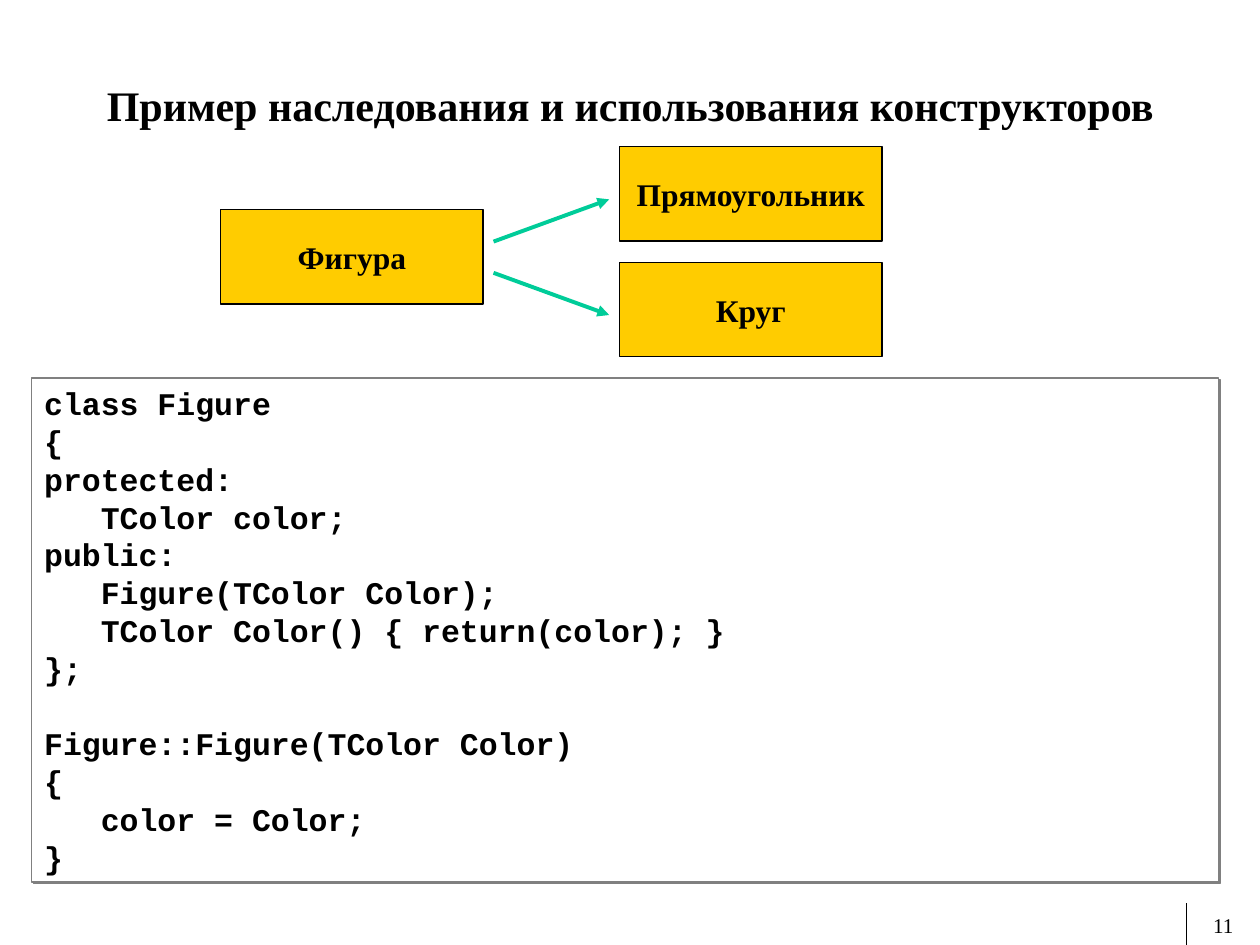
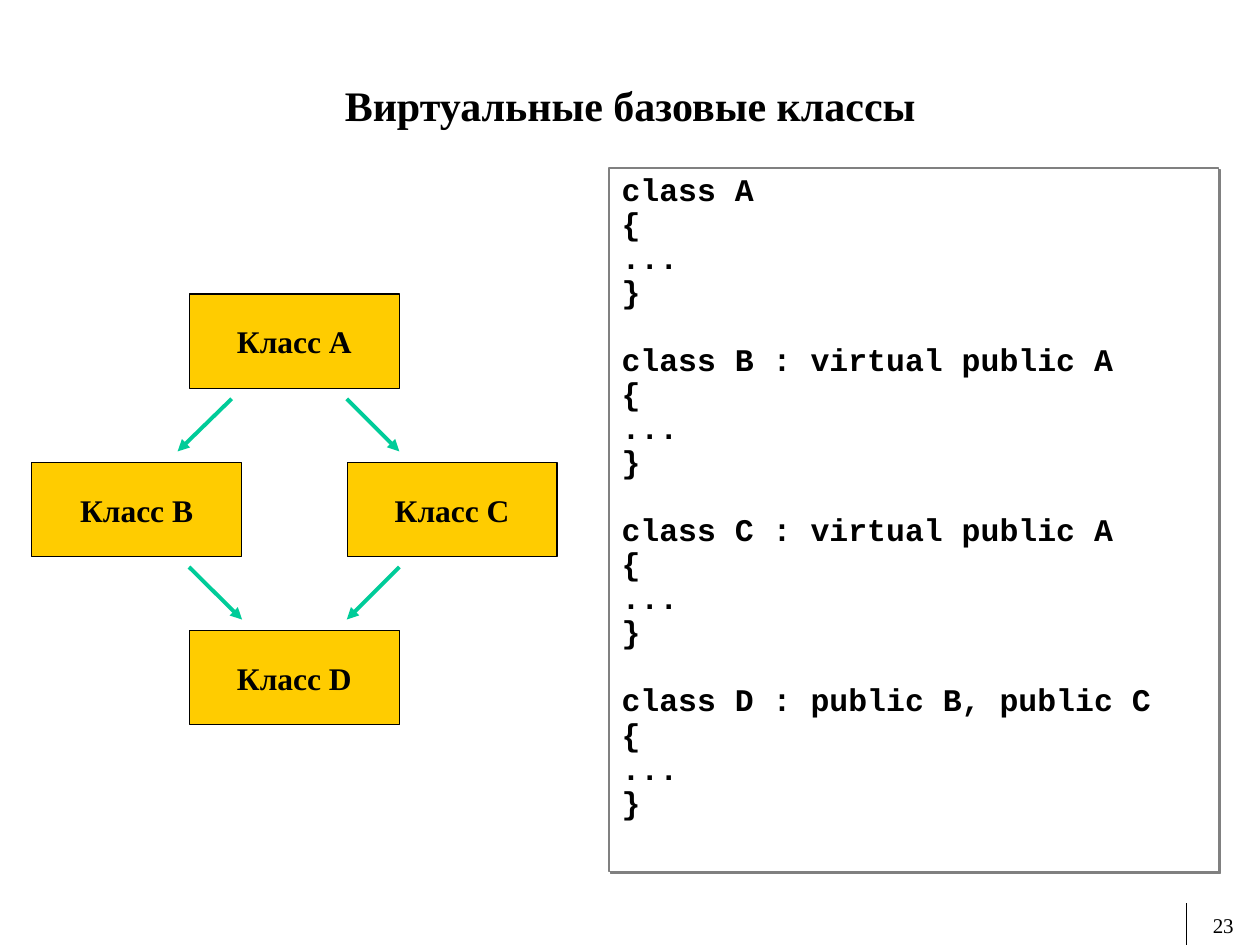
"""Builds two slides on class inheritance: diagrams beside code listings."""
from lxml.etree import SubElement
from pptx import Presentation
from pptx.dml.color import RGBColor
from pptx.enum.shapes import MSO_CONNECTOR as Link, MSO_SHAPE as Preset
from pptx.enum.text import MSO_ANCHOR as Anchor, MSO_AUTO_SIZE as Fit, PP_ALIGN as Align
from pptx.oxml.ns import qn
from pptx.util import Cm, Pt

COLORS = {"ink": "000000", "paper": "FFFFFF", "class": "FFCC00",
          "arrow": "00CC99", "frame": "808080"}
SERIF, MONO = "Times New Roman", "Courier New"
FONTS = {
    "title": {"name": SERIF, "size": Pt(24), "bold": True},
    "class": {"name": SERIF, "size": Pt(18), "bold": True},
    "code": {"name": MONO, "size": Pt(18), "bold": True},
    "number": {"name": SERIF, "size": Pt(12), "bold": False},
}
FRAMES = {
    "title": {"word_wrap": True, "auto_size": Fit.NONE, "vertical_anchor": Anchor.MIDDLE,
              "margin_left": 0, "margin_right": 0, "margin_top": 0, "margin_bottom": 0},
    "class": {"word_wrap": False, "vertical_anchor": Anchor.MIDDLE},
    "code": {"word_wrap": True, "vertical_anchor": Anchor.TOP},
    "number": {"word_wrap": True, "vertical_anchor": Anchor.BOTTOM},
}
CODE_LINE = 21.6

FIGURE_CODE = """class Figure
{
protected:
   TColor color;
public:
   Figure(TColor Color);
   TColor Color() { return(color); }
};

Figure::Figure(TColor Color)
{
   color = Color;
}"""

VIRTUAL_CODE = """class A
{
...
}

class B : virtual public A
{
...
}

class C : virtual public A
{
...
}

class D : public B, public C
{
...
}"""


def assign(target, values):
    for key, value in values.items():
        setattr(target, key, value)


class Deck:
    def __init__(self):
        self.deck = Presentation()
        assign(self.deck, {"slide_width": Cm(25.4), "slide_height": Cm(19.05)})
        self.slide = None

    def color(self, name):
        return RGBColor.from_string(COLORS[name])

    def set_text(self, frame, style, text, align=Align.CENTER, spacing=None):
        assign(frame, FRAMES[style])
        paragraph, gap = frame.paragraphs[0], 0
        for index, line in enumerate(text.split("\n")):
            if not line:
                gap = CODE_LINE * (spacing or 1)
                continue
            if index:
                paragraph = frame.add_paragraph()
            paragraph.text = line
            values = {"alignment": align, "line_spacing": spacing, "space_before": Pt(gap)}
            assign(paragraph, values)
            assign(paragraph.runs[0].font, FONTS[style])
            paragraph.runs[0].font.color.rgb = self.color("ink")
            gap = 0

    def start(self, title, number):
        self.slide = self.deck.slides.add_slide(self.deck.slide_layouts[5])
        heading = self.slide.shapes.title
        place = {"left": Cm(1.06), "top": Cm(1.48), "width": Cm(23.29), "height": Cm(1.27)}
        assign(heading, place)
        self.set_text(heading.text_frame, "title", title)
        page = self.slide.shapes.add_textbox(Cm(23.92), Cm(18.26), Cm(1.48), Cm(0.76))
        self.set_text(page.text_frame, "number", number)
        self.line((23.92, 18.21), (23.92, 19.05), "ink", 0.75)

    def rect(self, box, fill, line):
        shape = self.slide.shapes.add_shape(Preset.RECTANGLE, *map(Cm, box))
        shape.shadow.inherit = False
        shape.fill.solid()
        shape.fill.fore_color.rgb = self.color(fill)
        shape.line.color.rgb = self.color(line)
        shape.line.width = Pt(0.75)
        return shape

    def class_box(self, name, left, top, width):
        shape = self.rect((left, top, width, 1.9), "class", "ink")
        self.set_text(shape.text_frame, "class", name)

    def code(self, listing, box, spacing=None):
        shape = self.rect(box, "paper", "frame")
        effects = shape._element.spPr.find(qn("a:effectLst"))
        shadow = SubElement(effects, qn("a:outerShdw"), dist=str(int(Pt(1.4))),
                            dir="2700000", algn="ctr", rotWithShape="0")
        SubElement(shadow, qn("a:srgbClr"), val=COLORS["frame"])
        self.set_text(shape.text_frame, "code", listing, Align.LEFT, spacing)

    def line(self, start, end, color, width):
        connector = self.slide.shapes.add_connector(Link.STRAIGHT, *map(Cm, start + end))
        connector.line.color.rgb = self.color(color)
        connector.line.width = Pt(width)
        SubElement(connector._element.spPr, qn("a:effectLst"))
        return connector

    def arrow(self, start, end):
        connector = self.line(start, end, "arrow", 2.25)
        outline = connector._element.spPr.find(qn("a:ln"))
        SubElement(outline, qn("a:tailEnd"), type="triangle")


def inheritance(deck):
    deck.start("Пример наследования и использования конструкторов", "11")
    deck.code(FIGURE_CODE, (0.64, 7.62, 23.92, 10.16))
    deck.class_box("Фигура", 4.45, 4.23, 5.29)
    for name, top, start, end in (("Прямоугольник", 2.96, 4.87, 4.02),
                                  ("Круг", 5.29, 5.5, 6.35)):
        deck.class_box(name, 12.49, top, 5.29)
        deck.arrow((9.95, start), (12.28, end))


def virtual_bases(deck):
    deck.start("Виртуальные базовые классы", "23")
    deck.code(VIRTUAL_CODE, (12.28, 3.39, 12.28, 14.18), 0.9)
    left, top, column, row = 0.64, 5.93, 3.18, 3.39
    for name, across, down in (("A", 1, 0), ("B", 0, 1), ("C", 2, 1), ("D", 1, 2)):
        deck.class_box(f"Класс {name}", left + across * column, top + down * row, 4.23)
    for level, start, end in ((0, 4.67, 3.58), (0, 6.99, 8.05),
                              (1, 3.81, 4.88), (1, 8.05, 6.99)):
        start_y = 8.04 + level * row
        deck.arrow((start, start_y), (end, start_y + 1.06))


def main():
    deck = Deck()
    inheritance(deck)
    virtual_bases(deck)
    deck.deck.save("out.pptx")


if __name__ == "__main__":
    main()
